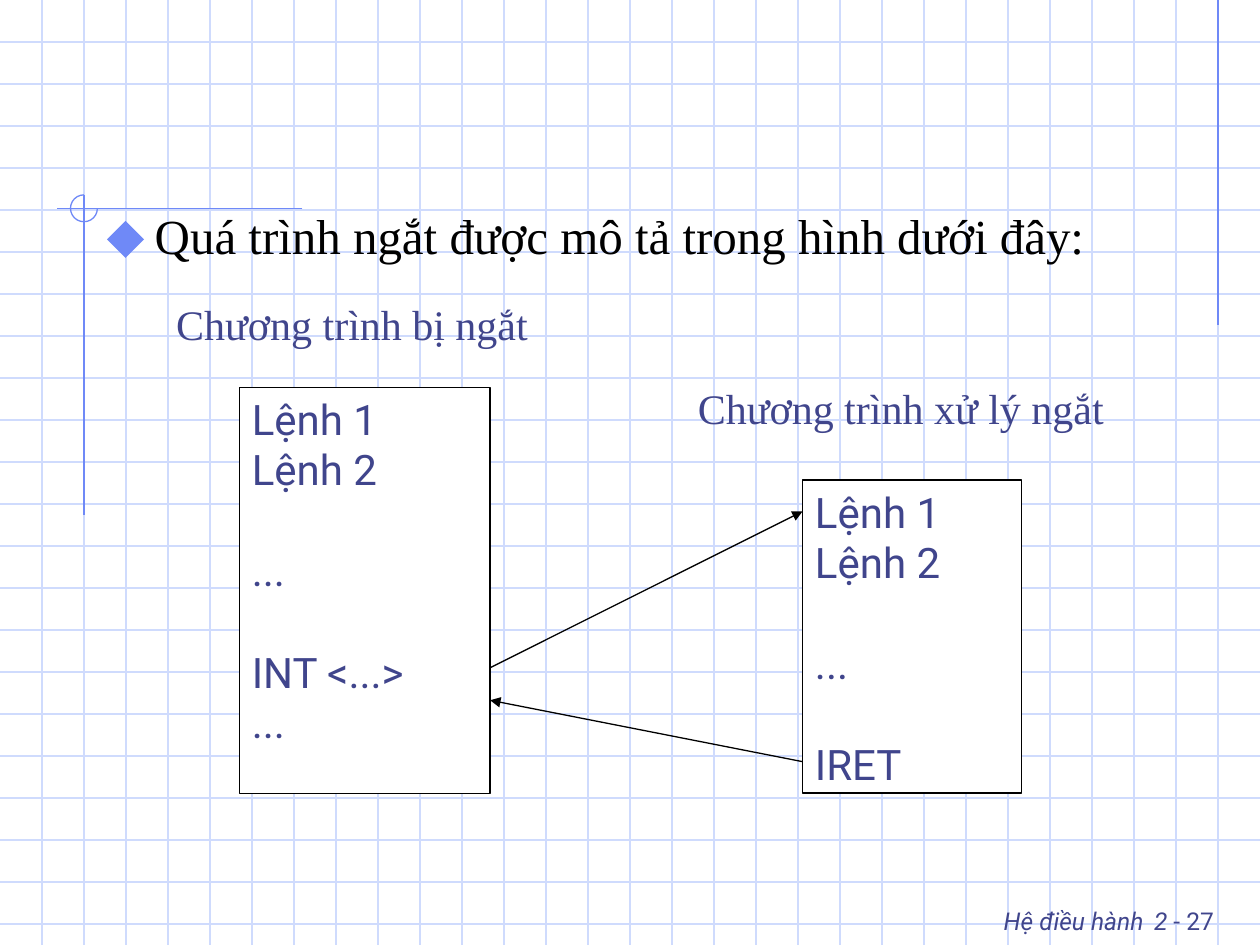
from dataclasses import dataclass
from pptx import Presentation
from pptx.dml.color import RGBColor
from pptx.enum.shapes import MSO_CONNECTOR, MSO_SHAPE
from pptx.enum.text import MSO_ANCHOR, PP_ALIGN
from pptx.oxml.ns import qn
from pptx.util import Inches, Pt
from lxml.etree import SubElement


@dataclass(frozen=True)
class Theme:
    white: str = "FFFFFF"
    black: str = "000000"
    ink: str = "40458C"
    grid: str = "CFDBFD"
    trim: str = "6F89F7"
    sans: str = "Roboto"
    serif: str = "Times New Roman"
    title: int = 28
    body: int = 24
    foot: int = 14
    rule: float = 0.75
    gap: int = 29  # one empty line of body text


THEME = Theme()
COLS, ROWS = 30, 22.5  # grid cells, three to the inch


def cell(n):
    return Inches(n / 3)


def color(code):
    return RGBColor.from_string(code)


def style(run, size, font, code, italic=False):
    run.font.size = Pt(size)
    run.font.name = font
    run.font.color.rgb = color(code)
    run.font.italic = italic


def line(slide, start, end, code, arrow=False):
    link = slide.shapes.add_connector(
        MSO_CONNECTOR.STRAIGHT, *map(cell, start + end))
    link.line.color.rgb = color(code)
    link.line.width = Pt(THEME.rule)
    props = link._element.spPr
    if arrow:
        SubElement(props.find(qn("a:ln")), qn("a:tailEnd"), type="triangle")
    SubElement(props, qn("a:effectLst"))


def shape(slide, kind, box, fill=None, edge=None):
    form = slide.shapes.add_shape(kind, *map(cell, box))
    form.shadow.inherit = False
    if fill:
        form.fill.solid()
        form.fill.fore_color.rgb = color(fill)
    else:
        form.fill.background()
    if edge:
        form.line.color.rgb = color(edge)
        form.line.width = Pt(THEME.rule)
    else:
        form.line.fill.background()
    return form


def label(slide, box, text, size, font, code):
    frame = slide.shapes.add_textbox(*map(cell, box)).text_frame
    frame.word_wrap = True
    frame.text = text
    para = frame.paragraphs[0]
    style(para.runs[0], size, font, code)
    return para


def paper(slide, cols, rows):
    # Squared paper
    for row in range(1, int(rows) + 1):
        line(slide, (0, row), (cols, row), THEME.grid)
    for col in range(1, cols):
        line(slide, (col, 0), (col, rows), THEME.grid)


def trim(slide, x, y):
    # Rules crossing at (x, y), and the one at top right
    line(slide, (COLS - 1, 0), (COLS - 1, 7.74), THEME.trim)
    line(slide, (x + 5.2, y), (x - 0.65, y), THEME.trim)
    line(slide, (x, y - 0.33), (x, y + 7.3), THEME.trim)
    # Three-quarter ring round the crossing
    ring = shape(slide, MSO_SHAPE.ARC, (x - 0.32, y - 0.33, 0.64, 0.64),
                 edge=THEME.trim)
    ring.adjustments[0], ring.adjustments[1] = 0, 162


def footer(slide, box):
    para = label(slide, box, "Hệ điều hành", THEME.foot, THEME.sans, THEME.ink)
    para.alignment = PP_ALIGN.RIGHT
    para.runs[0].font.italic = True
    for text, size, italic in ((" ", THEME.body, False),
                               ("2", THEME.foot, True),
                               (" - 27", THEME.foot, False)):
        run = para.add_run()
        run.text = text
        style(run, size, THEME.sans, THEME.ink, italic)


def code(slide, box, steps):
    # Program listing; each step is (text, has a gap above)
    panel = shape(slide, MSO_SHAPE.RECTANGLE, box, THEME.white, THEME.black)
    frame = panel.text_frame
    frame.vertical_anchor = MSO_ANCHOR.TOP
    frame.text = "\n".join(text for text, _ in steps)
    for para, (_, gap) in zip(frame.paragraphs, steps):
        para.alignment = PP_ALIGN.LEFT
        para.space_before = Pt(THEME.gap if gap else 0)
        style(para.runs[0], THEME.body, THEME.sans, THEME.ink)


def flow(slide, left, right):
    # Both programs with their captions
    start = [("Lệnh 1", False), ("Lệnh 2", False), ("...", True)]
    code(slide, left, start + [("INT <...>", True), ("...", False)])
    code(slide, right, start + [("IRET", True)])

    # Jump to the handler and return
    def spot(box, side, share):
        return box[0] + side * box[2], box[1] + share * box[3]

    line(slide, spot(left, 1, 0.69), spot(right, 0, 0.1), THEME.black, True)
    line(slide, spot(right, 0, 0.9), spot(left, 1, 0.77), THEME.black, True)

    for box, shift, rise, width, text in (
            (left, 1.8, 2.25, 9.93, "Chương trình bị ngắt"),
            (right, 2.79, 2.46, 11.16, "Chương trình xử lý ngắt")):
        label(slide, (box[0] - shift, box[1] - rise, width, 2.22), text,
              THEME.body, THEME.serif, THEME.ink)


def heading(slide, box):
    para = label(slide, box, "Quá trình ngắt được mô tả trong hình dưới đây:",
                 THEME.title, THEME.serif, THEME.black)
    para.space_before = Pt(7)
    para._p.get_or_add_pPr().set("marL", str(Inches(0.38)))
    # Diamond marker in the indent
    shape(slide, MSO_SHAPE.DIAMOND,
          (box[0] + 0.3, box[1] + 0.51, 0.88, 0.88), THEME.trim)


def main():
    deck = Presentation()
    deck.slide_width, deck.slide_height = cell(COLS), cell(ROWS)
    slide = deck.slides.add_slide(deck.slide_layouts[6])
    slide.background.fill.solid()
    slide.background.fill.fore_color.rgb = color(THEME.white)
    paper(slide, COLS, ROWS)
    trim(slide, 2, 4.97)
    footer(slide, (20.5, 21, 8.7, 1.5))
    flow(slide, (5.7, 9.22, 5.97, 9.68), (19.11, 11.43, 5.22, 7.45))
    heading(slide, (2.25, 4.75, 25.5, 2.5))
    deck.save("out.pptx")


if __name__ == "__main__":
    main()
